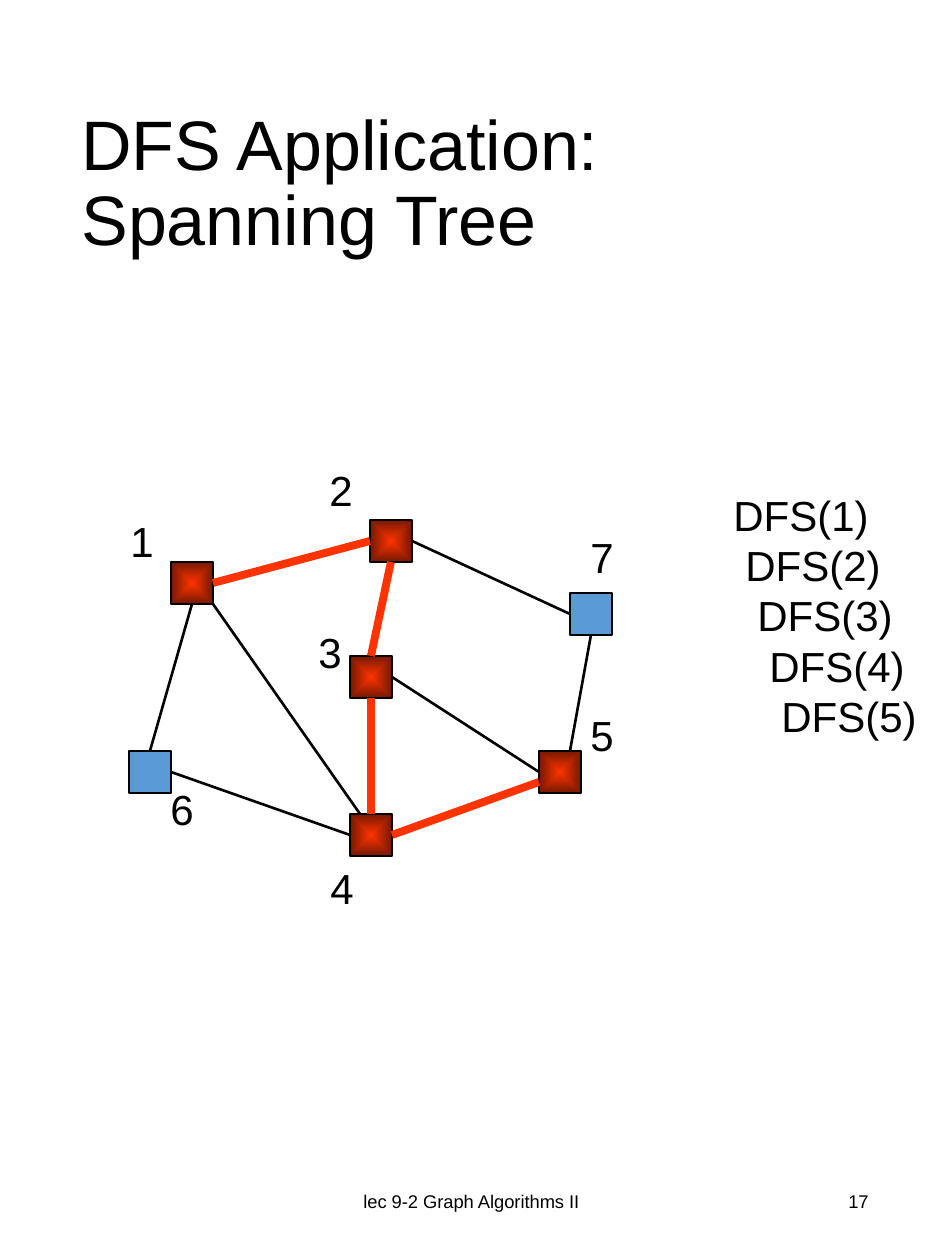
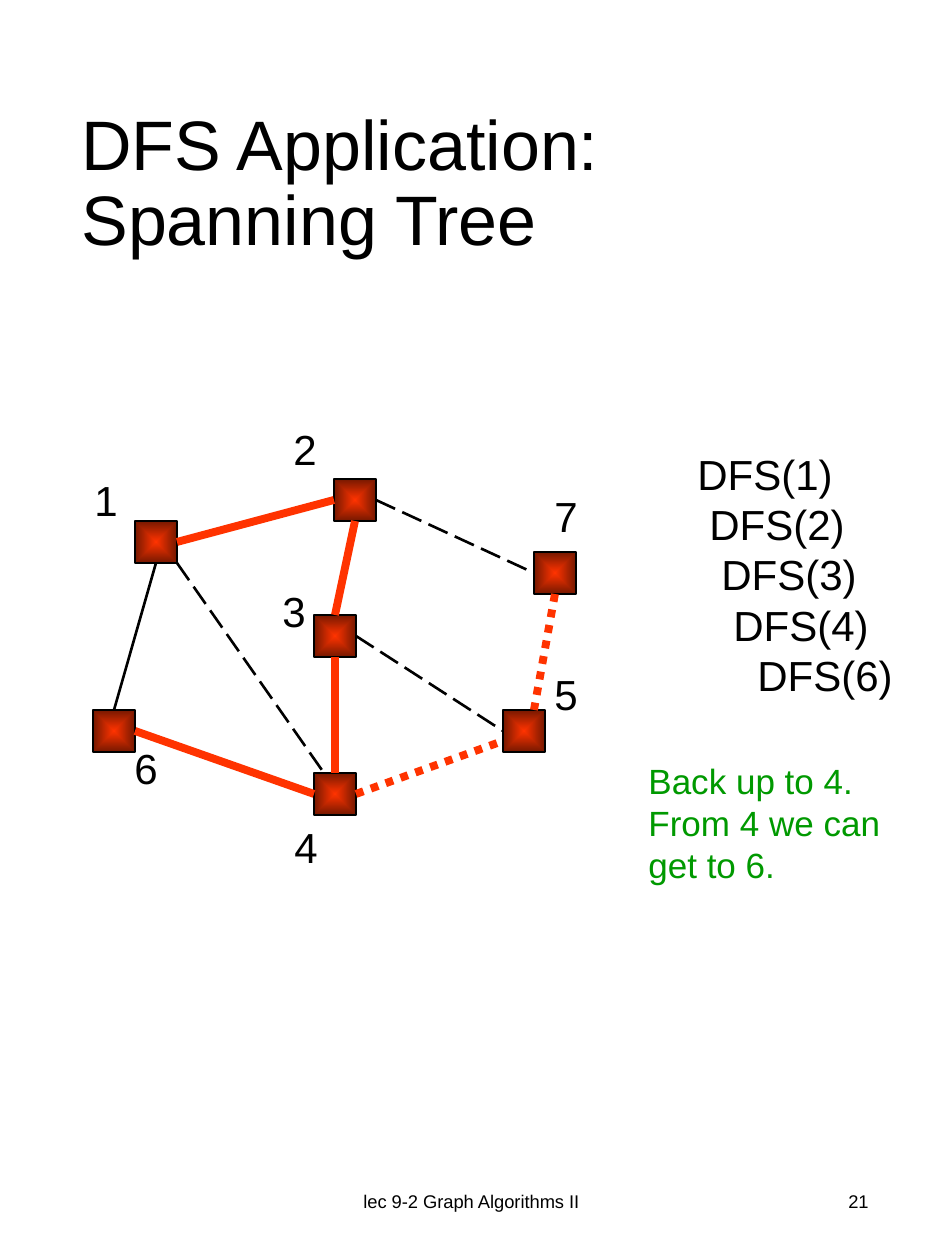
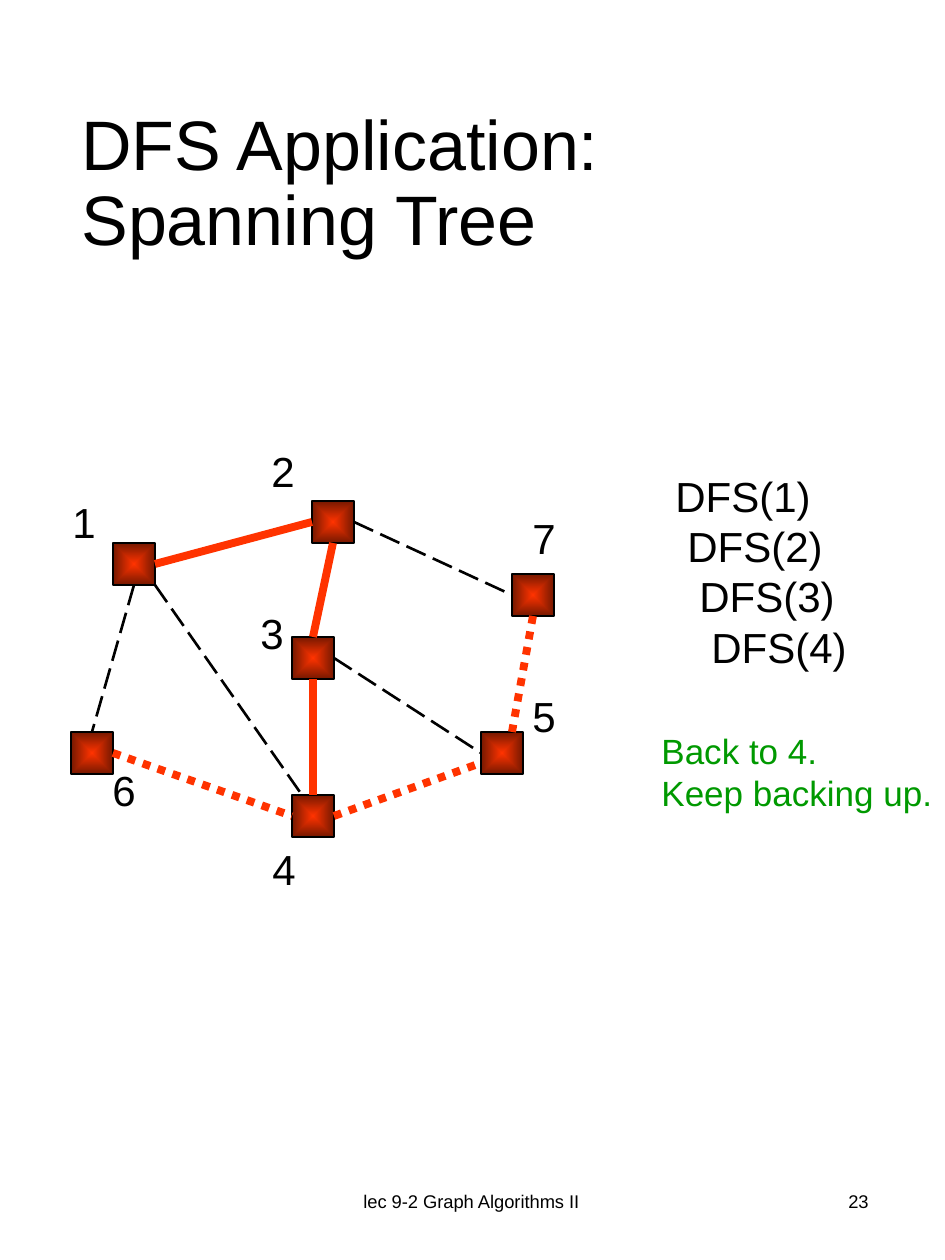
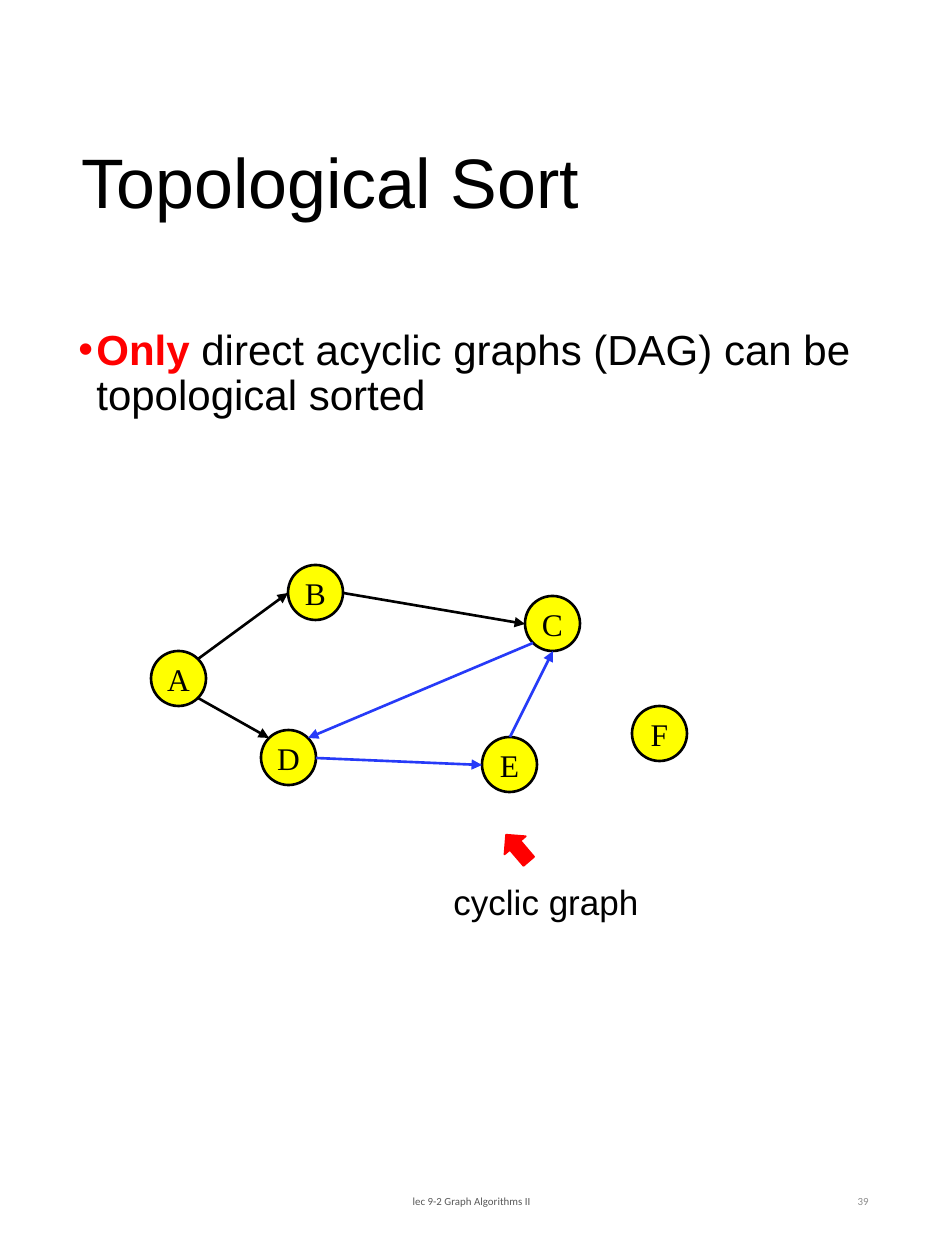
from pptx import Presentation
from pptx import util as u
from pptx.dml.color import RGBColor
from pptx.enum import dml, shapes, text
from pptx.oxml import parse_xml
from pptx.oxml.ns import nsdecls, qn

PX = 7257
hue = RGBColor.from_string
BLACK, RED, TREE, DARK, BLUE, GREEN = "000000", "FF0000", "FF3300", "761800", "5B9BD5", "009900"
LEFT, CENTER, RIGHT = text.PP_ALIGN.LEFT, text.PP_ALIGN.CENTER, text.PP_ALIGN.RIGHT
MIDDLE = text.MSO_ANCHOR.MIDDLE


def put(page, place, *lines, kind=None, fill=None, line=BLACK, weight=1.5, size=24, face="Arial",
        color=BLACK, align=LEFT, anchor=text.MSO_ANCHOR.TOP, wrap=True, spacing=None, indents=()):
    place = [n * PX for n in place]
    if kind is None:
        box = page.shapes.add_textbox(*place)
    else:
        box = page.shapes.add_shape(kind, *place)
        box.shadow.inherit = False
        box.fill.solid()
        box.fill.fore_color.rgb = hue(fill)
        box.line.color.rgb = hue(line)
        box.line.width = u.Pt(weight)
    frame = box.text_frame
    frame.word_wrap = wrap
    frame.vertical_anchor = anchor
    for i, spans in enumerate(lines):
        para = frame.add_paragraph() if i else frame.paragraphs[0]
        para.alignment = align
        if spacing:
            para.line_spacing = spacing
        if indents:
            para._p.get_or_add_pPr().set("marL", str(indents[i] * PX))
        for words, look in [(spans, {})] if isinstance(spans, str) else spans:
            span = para.add_run()
            span.text = words
            span.font.name = face
            span.font.size = u.Pt(size)
            span.font.bold = look.get("bold", False)
            span.font.color.rgb = hue(look.get("color", color))
    return box


def link(page, start, end, color, weight=1.5, dash=None, arrow=False):
    line = page.shapes.add_connector(shapes.MSO_CONNECTOR.STRAIGHT, *[n * PX for n in start + end])
    line.line.color.rgb = hue(color)
    line.line.width = u.Pt(weight)
    if dash:
        line.line.dash_style = dash
    props = line._element.spPr
    if arrow:
        props.find(qn("a:ln")).append(parse_xml(f'<a:tailEnd {nsdecls("a")} type="triangle"/>'))
    props.append(parse_xml(f'<a:effectLst {nsdecls("a")}/>'))
    return line


deck = Presentation()
deck.slide_width, deck.slide_height = 945 * PX, 1260 * PX

tree_title = "DFS Application: Spanning Tree"
plain_footer = dict(size=10.5, face="Arial")
small_footer = dict(size=6.2, face="Calibri")
pages = []
for title, number, style, footer_color, number_color in [
    (tree_title, "17", plain_footer, BLACK, BLACK),
    (tree_title, "21", plain_footer, BLACK, BLACK),
    (tree_title, "23", plain_footer, BLACK, BLACK),
    ("Topological Sort", "39", small_footer, "595959", "8C8C8C"),
]:
    page = deck.slides.add_slide(deck.slide_layouts[6])
    put(page, (69, 64, 815, 243), title, size=40, anchor=MIDDLE, spacing=0.9)
    put(page, (312, 1168, 319, 67), "lec 9-2 Graph Algorithms II", color=footer_color,
        align=CENTER, anchor=MIDDLE, **style)
    put(page, (668, 1168, 213, 67), number, color=number_color, align=RIGHT, anchor=MIDDLE, **style)
    pages.append(page)

NODE = 42
TOP, WEST, BOTTOM, EAST = sides = [(21, 0), (0, 21), (21, NODE), (NODE, 21)]
nodes = {1: (0, 0), 6: (-42, 189), 4: (179, 252), 5: (368, 189), 3: (179, 94), 2: (199, -42), 7: (399, 31)}
labels = {1: (-53, -53), 2: (146, -104), 7: (407, -37), 5: (407, 141), 4: (147, 294), 6: (-13, 215), 3: (135, 58)}
edges = [
    (1, EAST, 2, WEST), (2, BOTTOM, 3, TOP), (2, EAST, 7, WEST), (3, EAST, 5, WEST),
    (7, BOTTOM, 5, (31, 0)), (3, BOTTOM, 4, TOP), (4, EAST, 5, (0, 31)),
    (6, EAST, 4, WEST), (1, BOTTOM, 6, TOP), (1, (NODE, NODE), 4, (10, 0)),
]
edge_looks = {
    "P": dict(color=BLACK),
    "S": dict(color=BLACK, dash=dml.MSO_LINE.LONG_DASH),
    "T": dict(color=TREE, weight=4.5),
    "D": dict(color=TREE, weight=4.5, dash=dml.MSO_LINE.ROUND_DOT),
}
steps = [
    ((171, 562), {6, 7}, "TTPPPTTPPP", [1, 2, 3, 4, 5], [0, 1, 2, 3, 4], None, ()),
    ((135, 521), set(), "TTSSDTDTPS", [1, 2, 3, 4, 6], [0, 1, 2, 3, 5],
     (636, 753, 271, 140), ("Back up to 4.", "From 4 we can", "get to 6.")),
    ((113, 543), set(), "TTSSDTDDSS", [1, 2, 3, 4], [0, 1, 2, 3],
     (649, 723, 307, 97), ("Back to 4.", "Keep backing up.")),
]
for page, ((x, y), unvisited, looks, calls, depths, hint_place, hint) in zip(pages, steps):
    boxes = {}
    for name, (dx, dy) in nodes.items():
        box = put(page, (x + dx, y + dy, NODE, NODE), kind=shapes.MSO_SHAPE.RECTANGLE, fill=BLUE)
        if name not in unvisited:
            box.fill.gradient()
            for stop, color in zip(box.fill.gradient_stops, (TREE, DARK)):
                stop.color.rgb = hue(color)
            gradient = box._element.spPr.find(qn("a:gradFill"))
            gradient.remove(gradient.find(qn("a:lin")))
            gradient.append(parse_xml(
                f'<a:path {nsdecls("a")} path="shape">'
                '<a:fillToRect l="50000" t="50000" r="50000" b="50000"/></a:path>'))
        boxes[name] = box
    for (first, out, second, into), look in zip(edges, looks):
        start = (x + nodes[first][0] + out[0], y + nodes[first][1] + out[1])
        end = (x + nodes[second][0] + into[0], y + nodes[second][1] + into[1])
        line = link(page, start, end, **edge_looks[look])
        if out in sides:
            line.begin_connect(boxes[first], sides.index(out))
        if into in sides:
            line.end_connect(boxes[second], sides.index(into))
    for name, (dx, dy) in labels.items():
        put(page, (x + dx, y + dy, 49, 63), str(name))
    put(page, (x + 550, y - 79, 224, 16 + 50 * len(calls)), *[f"DFS({n})" for n in calls],
        indents=[12 * depth for depth in depths])
    if hint:
        put(page, hint_place, *hint, size=20, color=GREEN)

page = pages[3]
body = put(page, (66, 323, 815, 799),
           [("Only ", dict(bold=True, color=RED)),
            ("direct acyclic graphs (DAG) can be topological sorted", {})],
           spacing=0.9, indents=[18])
props = body.text_frame.paragraphs[0]._p.pPr
props.set("indent", str(-18 * PX))
for tag in (f'buClr {nsdecls("a")}><a:srgbClr val="{RED}"/></a:buClr', f'buFont {nsdecls("a")} typeface="Arial"/',
            f'buChar {nsdecls("a")} char="•"/'):
    props.append(parse_xml(f"<a:{tag}>"))

CIRCLE = 55
vertices = {"A": (151, 651), "B": (288, 565), "C": (525, 596), "E": (482, 737), "D": (261, 730), "F": (632, 706)}
for name, corner in vertices.items():
    put(page, corner + (CIRCLE, CIRCLE), name, kind=shapes.MSO_SHAPE.OVAL, fill="FFFF00", size=18,
        face="Times New Roman", align=CENTER, anchor=MIDDLE, wrap=False)

CYCLE = "263AF8"
for first, out, second, into, color in [
    ("E", (28, 0), "C", (28, 55), CYCLE),
    ("D", (55, 28), "E", (0, 28), CYCLE),
    ("A", (47, 47), "D", (8, 8), BLACK),
    ("C", (8, 47), "D", (47, 8), CYCLE),
    ("B", (55, 28), "C", (0, 28), BLACK),
    ("A", (47, 8), "B", (0, 28), BLACK),
]:
    start = (vertices[first][0] + out[0], vertices[first][1] + out[1])
    end = (vertices[second][0] + into[0], vertices[second][1] + into[1])
    link(page, start, end, color, arrow=True)

put(page, (441, 874, 236, 55), "cyclic graph", size=20)
pointer = put(page, (500, 834, 35, 28), kind=shapes.MSO_SHAPE.RIGHT_ARROW, fill=RED, line=RED, weight=1)
pointer.rotation = 229.5

deck.save("out.pptx")
